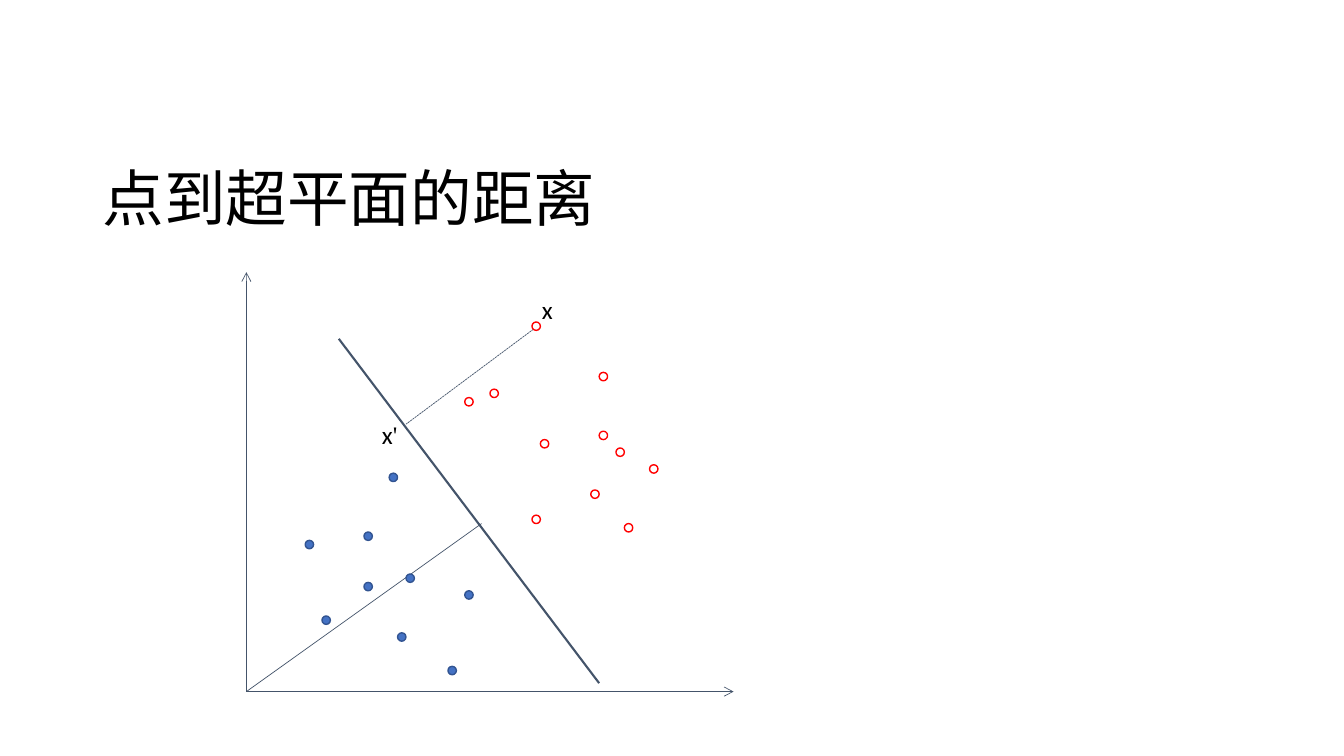
"""Build the slide on the distance from a point to a hyperplane."""
from lxml.etree import SubElement
from pptx import Presentation
from pptx.dml.color import RGBColor
from pptx.enum.dml import MSO_LINE
from pptx.enum.shapes import MSO_CONNECTOR, MSO_SHAPE
from pptx.enum.text import MSO_ANCHOR, MSO_AUTO_SIZE, PP_ALIGN
from pptx.oxml.ns import qn
from pptx.util import Pt

SLATE = RGBColor(0x44, 0x54, 0x6A)
BLUE = RGBColor(0x44, 0x72, 0xC4)
DARK_BLUE = RGBColor(0x32, 0x54, 0x91)
RED = RGBColor(0xFF, 0x00, 0x00)
BLACK = RGBColor(0x00, 0x00, 0x00)
DOT_SIZE = 6
ORIGIN = (176, 494)


def add_span(para, text, *, size=18, font="Calibri"):
    span = para.add_run()
    span.text = text
    span.font.size = Pt(size)
    span.font.name = font
    span.font.color.rgb = BLACK


deck = Presentation()
deck.slide_width, deck.slide_height = Pt(960), Pt(540)
page = deck.slides.add_slide(deck.slide_layouts[5])

title = page.shapes.title
title.left, title.top, title.width, title.height = Pt(66), Pt(91.5), Pt(828), Pt(104.4)
title.text_frame.vertical_anchor = MSO_ANCHOR.MIDDLE
title.text_frame.auto_size = MSO_AUTO_SIZE.NONE
title_para = title.text_frame.paragraphs[0]
title_para.alignment = PP_ALIGN.LEFT
title_para.line_spacing = 0.9
add_span(title_para, "点到超平面的距离", size=44)

lines = [
    (ORIGIN, (524, 494), 0.5, None, True),
    (ORIGIN, (176, 194.4), 0.5, None, True),
    ((242, 242), (428, 488), 1.5, None, False),
    ((381, 235.2), (290, 303), 0.5, MSO_LINE.SQUARE_DOT, False),
    (ORIGIN, (344, 374), 0.5, None, False),
]
for start, end, width, dash, has_arrow in lines:
    line = page.shapes.add_connector(
        MSO_CONNECTOR.STRAIGHT, *(Pt(value) for value in start + end))
    line.line.color.rgb = SLATE
    line.line.width = Pt(width)
    if dash is not None:
        line.line.dash_style = dash
    properties = line._element.spPr
    if has_arrow:
        SubElement(properties.find(qn("a:ln")), qn("a:tailEnd"), type="arrow")
    SubElement(properties, qn("a:effectLst"))

blue_points = [(218, 386), (260, 380), (260, 416), (332, 422), (290, 410),
               (284, 452), (278, 338), (320, 476), (230, 440)]
red_points = [(350, 278), (428, 308), (380, 230), (386, 314), (380, 368), (332, 284),
              (422, 350), (428, 266), (446, 374), (464, 332), (440, 320)]
for points, fill, outline in [(blue_points, BLUE, DARK_BLUE), (red_points, None, RED)]:
    for left, top in points:
        dot = page.shapes.add_shape(
            MSO_SHAPE.OVAL, Pt(left), Pt(top), Pt(DOT_SIZE), Pt(DOT_SIZE))
        dot.shadow.inherit = False
        if fill is None:
            dot.fill.background()
        else:
            dot.fill.solid()
            dot.fill.fore_color.rgb = fill
        dot.line.color.rgb = outline
        dot.line.width = Pt(1)

for left, top, width, prime in [(380, 206.6, 22.3, ""), (265.7, 296, 26, "'")]:
    box = page.shapes.add_textbox(Pt(left), Pt(top), Pt(width), Pt(29))
    box.text_frame.word_wrap = False
    box.text_frame.auto_size = MSO_AUTO_SIZE.SHAPE_TO_FIT_TEXT
    label = box.text_frame.paragraphs[0]
    add_span(label, "x")
    if prime:
        add_span(label, prime, font="Times New Roman")

deck.save("out.pptx")
